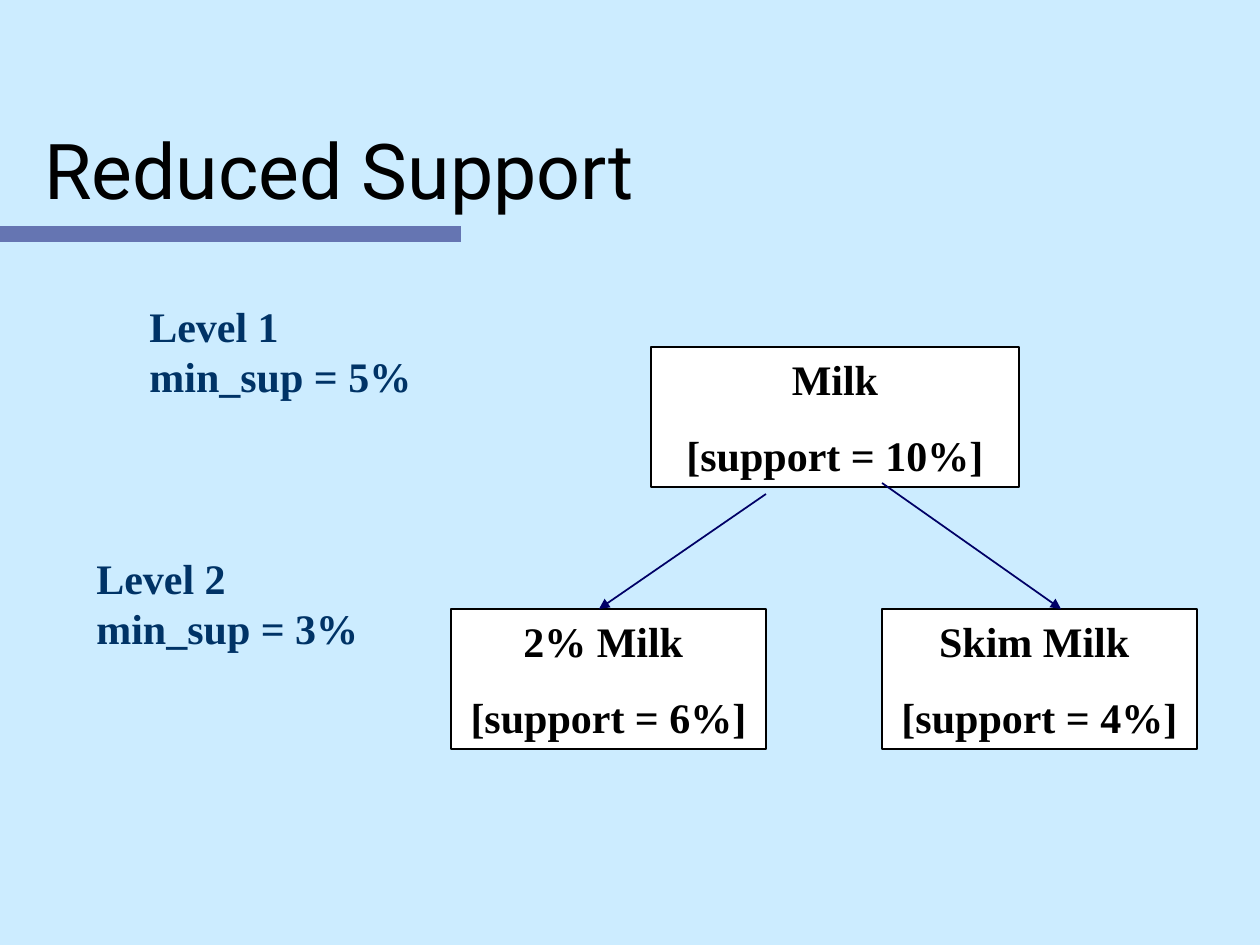
from dataclasses import dataclass

from lxml.etree import SubElement
from pptx import Presentation
from pptx.dml.color import RGBColor
from pptx.enum.shapes import MSO_CONNECTOR as Connector, MSO_SHAPE as Shape
from pptx.enum.text import MSO_ANCHOR as Anchor, MSO_AUTO_SIZE as AutoSize, PP_ALIGN as Align
from pptx.oxml.ns import qn
from pptx.util import Emu, Pt

PX_PER_INCH = 126


def px(length):
    return Emu(round(length * 914400 / PX_PER_INCH))


@dataclass(frozen=True)
class Theme:
    background: str = "CCECFF"
    accent: str = "000066"
    ink: str = "000000"
    level: str = "003366"
    node_fill: str = "FFFFFF"
    title_font: str = "Roboto"
    body_font: str = "Times New Roman"
    title_size: int = 44
    body_size: int = 24


class SlideBuilder:
    def __init__(self, slide, theme):
        self.slide = slide
        self.theme = theme
        background = slide.background.fill
        background.solid()
        background.fore_color.rgb = RGBColor.from_string(theme.background)

    def set_lines(self, frame, lines, color, font, size, bold=True, align=Align.LEFT, before=0):
        frame.text = "\n".join(lines)
        for paragraph in frame.paragraphs:
            paragraph.alignment = align
            paragraph.space_before = Pt(before)
            for run in paragraph.runs:
                run.font.name = font
                run.font.size = Pt(size)
                run.font.bold = bold
                run.font.color.rgb = RGBColor.from_string(color)

    def rectangle(self, left, top, width, height, color):
        box = self.slide.shapes.add_shape(
            Shape.RECTANGLE, px(left), px(top), px(width), px(height))
        box.shadow.inherit = False
        box.fill.solid()
        box.fill.fore_color.rgb = RGBColor.from_string(color)
        box.line.fill.background()
        return box

    def underline(self, left, top, width, height):
        bar = self.rectangle(left, top, width, height, self.theme.accent)
        color = bar._element.spPr.find(qn("a:solidFill"))[0]
        SubElement(color, qn("a:alpha"), val="50000")

    def title(self, left, top, width, height, heading):
        frame = self.slide.shapes.add_textbox(
            px(left), px(top), px(width), px(height)).text_frame
        frame.word_wrap = True
        frame.vertical_anchor = Anchor.BOTTOM
        theme = self.theme
        self.set_lines(frame, [heading], theme.ink, theme.title_font, theme.title_size,
                       bold=False)

    def level(self, left, top, width, height, lines):
        frame = self.slide.shapes.add_textbox(
            px(left), px(top), px(width), px(height)).text_frame
        frame.word_wrap = False
        frame.auto_size = AutoSize.SHAPE_TO_FIT_TEXT
        theme = self.theme
        self.set_lines(frame, lines, theme.level, theme.body_font, theme.body_size)

    def node(self, left, top, width, height, lines):
        box = self.rectangle(left, top, width, height, self.theme.node_fill)
        box.line.color.rgb = RGBColor.from_string(self.theme.ink)
        box.line.width = Pt(0.75)
        frame = box.text_frame
        frame.word_wrap = True
        frame.vertical_anchor = Anchor.TOP
        frame.auto_size = AutoSize.SHAPE_TO_FIT_TEXT
        theme = self.theme
        self.set_lines(frame, lines, theme.ink, theme.body_font, theme.body_size,
                       align=Align.CENTER, before=15)

    def arrow(self, start, end):
        branch = self.slide.shapes.add_connector(
            Connector.STRAIGHT, *(px(value) for value in (*start, *end)))
        branch.line.color.rgb = RGBColor.from_string(self.theme.accent)
        branch.line.width = Pt(1)
        properties = branch._element.spPr
        SubElement(properties.find(qn("a:ln")), qn("a:tailEnd"), type="triangle")
        SubElement(properties, qn("a:effectLst"))


def main():
    deck = Presentation()
    deck.slide_width, deck.slide_height = px(1260), px(945)
    builder = SlideBuilder(deck.slides.add_slide(deck.slide_layouts[6]), Theme())

    builder.underline(0, 226, 461, 16)
    builder.title(32, 63, 1071, 158, "Reduced Support")

    for left, top, width, item, support in (
        (651, 347, 368, "Milk", 10),
        (451, 609, 315, "2% Milk ", 6),
        (882, 609, 315, "Skim Milk ", 4),
    ):
        builder.node(left, top, width, 140, [item, f"[support = {support}%]"])

    for start, end in (((766, 494), (599, 609)), ((882, 483), (1061, 609))):
        builder.arrow(start, end)

    for number, left, top, min_sup in ((1, 137, 294, 5), (2, 84, 546, 3)):
        builder.level(left, top, 287, 113, [f"Level {number}", f"min_sup = {min_sup}%"])

    deck.save("out.pptx")


if __name__ == "__main__":
    main()
